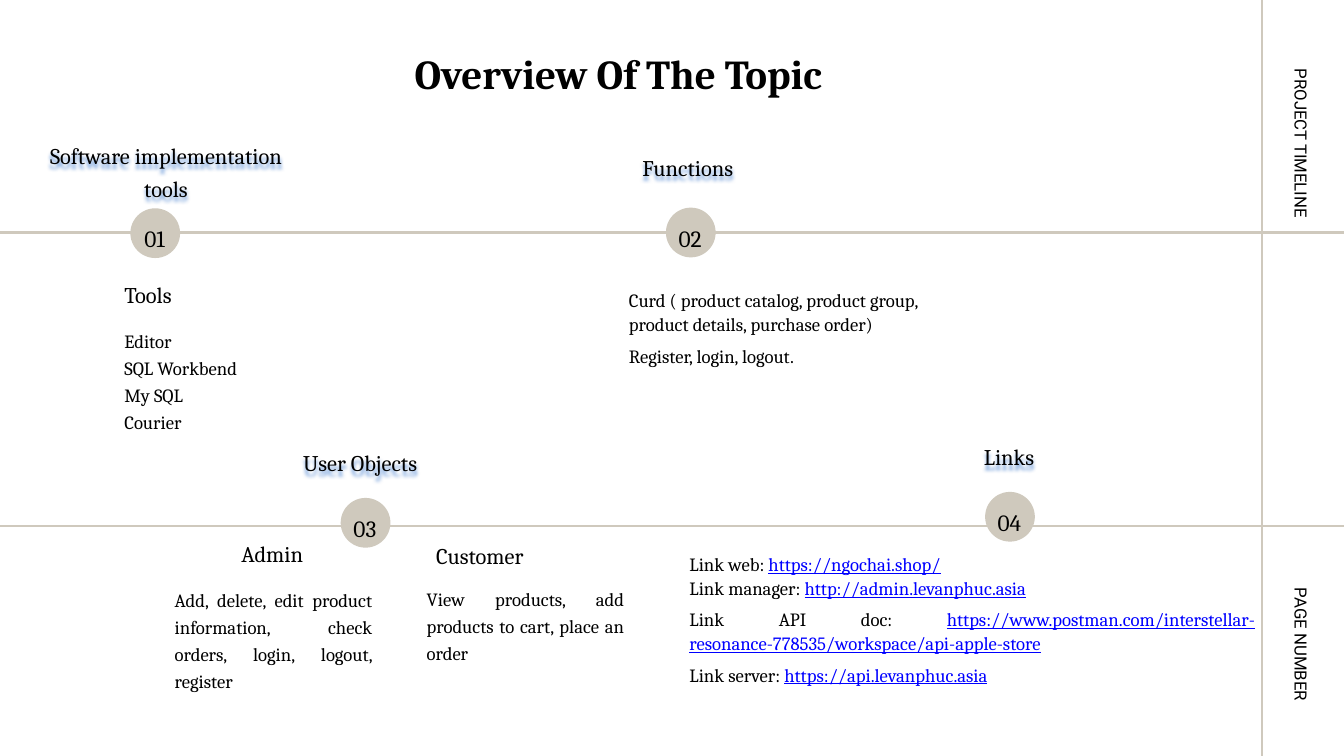
import dataclasses

import lxml.etree
import pptx
import pptx.dml.color
import pptx.enum.shapes
import pptx.enum.text
import pptx.oxml.ns
import pptx.util

BLACK = pptx.dml.color.RGBColor(0x00, 0x00, 0x00)
SAND = pptx.dml.color.RGBColor(0xCF, 0xC9, 0xBD)
LINK_BLUE = pptx.dml.color.RGBColor(0x00, 0x00, 0xFF)
SHADOW_BLUE = pptx.dml.color.RGBColor(0x44, 0x7F, 0xD0)

# The slide is a grid of 20 columns by 11.25 rows
COLUMNS, ROWS = 20, 11.25
WIDTH, HEIGHT = pptx.util.Inches(20), pptx.util.Inches(11.25)
SIDEBAR = 18.78
UPPER_LINE, LOWER_LINE = 3.46, 7.83
CIRCLE = 0.74

ALIGN = pptx.enum.text.PP_ALIGN


@dataclasses.dataclass
class Box:
    left: float
    top: float
    width: float
    height: float

    def inner(self, left, top, width, height):
        return Box(self.left + left, self.top + top, width, height)

    def place(self):
        return (across(self.left), down(self.top),
                across(self.width), down(self.height))


def across(columns):
    return round(WIDTH * columns / COLUMNS)


def down(rows):
    return round(HEIGHT * rows / ROWS)


def add_effects(shape):
    properties = shape._element.spPr
    return lxml.etree.SubElement(properties, pptx.oxml.ns.qn("a:effectLst"))


def write(shape, paragraphs, size=20, font="Cambria", bold=False,
          align=ALIGN.LEFT, line_spacing=1.2, space_after=0, indent=0):
    """Fill a shape; a paragraph is a string or a (label, address) pair."""
    frame = shape.text_frame
    frame.word_wrap = True
    frame.auto_size = pptx.enum.text.MSO_AUTO_SIZE.NONE
    frame.vertical_anchor = pptx.enum.text.MSO_ANCHOR.TOP
    frame.margin_left = frame.margin_right = 0
    frame.margin_top = frame.margin_bottom = 0
    for number, content in enumerate(paragraphs):
        paragraph = frame.add_paragraph() if number else frame.paragraphs[0]
        paragraph.alignment = align
        paragraph.line_spacing = line_spacing
        paragraph.space_before = pptx.util.Pt(0)
        paragraph.space_after = pptx.util.Pt(space_after)
        properties = paragraph._p.get_or_add_pPr()
        properties.set("marL", str(across(indent)))
        properties.set("indent", "0")
        lxml.etree.SubElement(properties, pptx.oxml.ns.qn("a:buNone"))
        parts = (content,) if isinstance(content, str) else content
        for position, text in enumerate(parts):
            run = paragraph.add_run()
            run.text = text
            run.font.name = font
            run.font.size = pptx.util.Pt(size)
            run.font.bold = bold
            run.font.underline = position > 0
            run.font.color.rgb = LINK_BLUE if position else BLACK
    return shape


def add_text(slide, box, *paragraphs, **text_format):
    return write(slide.shapes.add_textbox(*box.place()), paragraphs,
                 **text_format)


def fill_placeholder(placeholder, box, *paragraphs, **text_format):
    (placeholder.left, placeholder.top,
     placeholder.width, placeholder.height) = box.place()
    write(placeholder, paragraphs, **text_format)


def add_line(slide, start, end):
    line = slide.shapes.add_connector(
        pptx.enum.shapes.MSO_CONNECTOR.STRAIGHT,
        across(start[0]), down(start[1]), across(end[0]), down(end[1]))
    line.line.color.rgb = SAND
    line.line.width = pptx.util.Pt(2.25)
    add_effects(line)


def add_heading(slide, box, text, align=ALIGN.LEFT):
    heading = add_text(slide, box, text, size=24, align=align)
    shadow = lxml.etree.SubElement(
        add_effects(heading), pptx.oxml.ns.qn("a:outerShdw"),
        blurRad="50800", dist="50800", dir="5400000", algn="t", rotWithShape="0")
    colour = lxml.etree.SubElement(
        shadow, pptx.oxml.ns.qn("a:srgbClr"), val=str(SHADOW_BLUE))
    lxml.etree.SubElement(colour, pptx.oxml.ns.qn("a:alpha"), val="80000")


def add_marker(slide, box, number):
    circle = slide.shapes.add_shape(
        pptx.enum.shapes.MSO_SHAPE.OVAL, *box.place())
    circle.shadow.inherit = False
    circle.fill.solid()
    circle.fill.fore_color.rgb = SAND
    circle.line.fill.background()
    add_text(slide, box.inner(0.06, 0.16, 0.6, 0.42), number,
             size=25, align=ALIGN.CENTER)


def add_frame(slide):
    """Timeline rules and the sidebar with its turned labels."""
    for height in (UPPER_LINE, LOWER_LINE):
        add_line(slide, (0, height), (COLUMNS, height))
    add_line(slide, (SIDEBAR, 0), (SIDEBAR, ROWS))
    for label, top in (("PROJECT TIMELINE", 1.88), ("PAGE NUMBER", 9.07)):
        text = add_text(slide, Box(18.21, top, 2.43, 0.3), label,
                        size=18, font="Roboto", align=ALIGN.RIGHT)
        text.rotation = 90


def add_tools(slide, box, body):
    add_heading(slide, box.inner(0, 0, 3.8, 1.25),
                "Software implementation tools", align=ALIGN.CENTER)
    add_marker(slide, box.inner(1.37, 1.06, CIRCLE, CIRCLE), "01")
    add_text(slide, box.inner(1.28, 2.06, 0.95, 0.48), "Tools", size=24)
    fill_placeholder(body, box.inner(1.28, 2.8, 2.71, 1.62),
                     "Editor", "SQL Workbend", "My SQL", "Courier")


def add_functions(slide, box, body):
    add_heading(slide, box.inner(0.7, 0, 3.68, 0.77), "Functions")
    add_marker(slide, box.inner(1.05, 0.88, CIRCLE, CIRCLE), "02")
    fill_placeholder(
        body, box.inner(0, 2.07, 5.09, 1.66),
        "Curd ( product catalog, product group, product details, purchase order)",
        "Register, login, logout.",
        line_spacing=1.07, space_after=8, indent=0.5)


def add_users(slide, box):
    add_heading(slide, box.inner(1.91, 0, 3.68, 0.77), "User Objects")
    add_marker(slide, box.inner(2.47, 0.8, CIRCLE, CIRCLE), "03")
    roles = (
        ("Admin", 0.99, 1.34, 0, 2.09,
         "Add, delete, edit product information, check orders, login, logout, "
         "register"),
        ("Customer", 3.89, 1.38, 3.75, 2.07,
         "View products, add products to cart, place an order"),
    )
    for role, role_left, role_top, left, top, duties in roles:
        add_text(slide, box.inner(role_left, role_top, 1.68, 0.48), role, size=24)
        add_text(slide, box.inner(left, top, 2.94, 1.62), duties,
                 align=ALIGN.JUSTIFY)


def add_links(slide, box, body):
    add_heading(slide, box.inner(4.38, 0, 1.92, 0.77), "Links")
    add_marker(slide, box.inner(4.4, 0.8, CIRCLE, CIRCLE), "04")
    fill_placeholder(
        body, box.inner(0, 1.68, 8.42, 2.48),
        ("Link web: ", "https://ngochai.shop/"),
        ("Link manager: ", "http://admin.levanphuc.asia"),
        ("Link API doc: ", "https://www.postman.com/interstellar-"
         "resonance-778535/workspace/api-apple-store"),
        ("Link server: ", "https://api.levanphuc.asia"),
        align=ALIGN.JUSTIFY, line_spacing=1.07, space_after=8)
    # The first two addresses stand close together
    body.text_frame.paragraphs[0].space_after = pptx.util.Pt(0)


def main():
    presentation = pptx.Presentation()
    presentation.slide_width, presentation.slide_height = WIDTH, HEIGHT
    # The comparison layout has a title and four bodies
    slide = presentation.slides.add_slide(presentation.slide_layouts[4])
    tools, functions, links, spare = list(slide.placeholders)[1:5]
    spare._element.getparent().remove(spare._element)

    add_frame(slide)
    fill_placeholder(slide.shapes.title, Box(6.17, 0.5, 7.65, 1.28),
                     "Overview Of The Topic", size=44, bold=True,
                     line_spacing=1.31)
    add_tools(slide, Box(0.57, 2.04, 4, 4.42), tools)
    add_functions(slide, Box(8.86, 2.21, 5.09, 3.73), functions)
    add_users(slide, Box(2.6, 6.61, 6.69, 3.71))
    add_links(slide, Box(10.26, 6.52, 8.42, 4.16), links)
    presentation.save("out.pptx")


if __name__ == "__main__":
    main()
